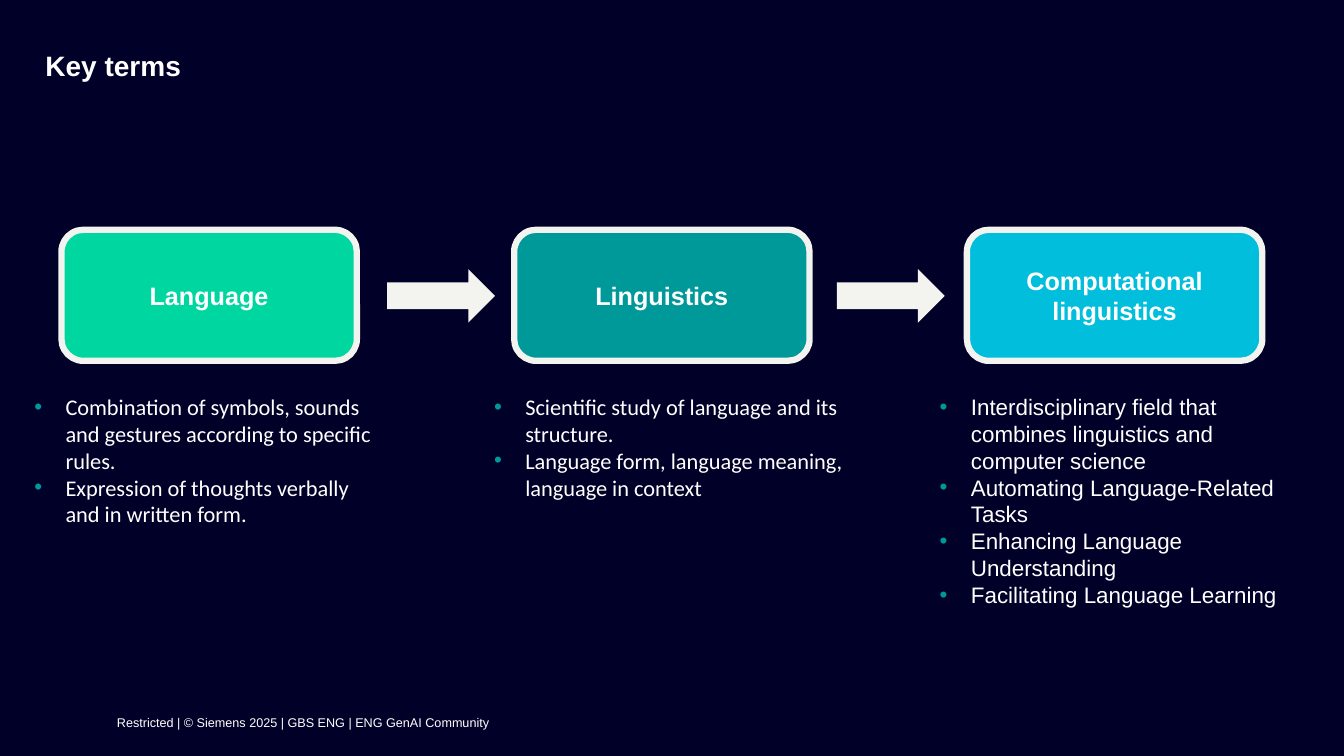
from lxml.etree import SubElement
from pptx import Presentation
from pptx.dml.color import RGBColor
from pptx.enum.shapes import MSO_SHAPE
from pptx.enum.text import MSO_ANCHOR, MSO_AUTO_SIZE, PP_ALIGN
from pptx.oxml.ns import qn
from pptx.util import Inches, Pt

TITLE = "Key terms"
FOOTER = "Restricted | © Siemens 2025 | GBS ENG | ENG GenAI Community"
# Heading lines, box fill, list left edge, list height, list font, list items
TERMS = [
    (["Language"], "00D7A0", 0.34, 1.35, "Calibri", [
        "Combination of symbols, sounds and gestures according to specific rules.",
        "Expression of thoughts verbally and in written form.",
    ]),
    (["Linguistics"], "009999", 4.9, 1.08, "Calibri", [
        "Scientific study of language and its structure.",
        "Language form, language meaning, language in context",
    ]),
    (["Computational", "linguistics"], "00BEDC", 9.32, 2.15, "Arial", [
        "Interdisciplinary field that combines linguistics and computer science",
        "Automating Language-Related Tasks",
        "Enhancing Language Understanding",
        "Facilitating Language Learning",
    ]),
]
BACKGROUND, WHITE, LIGHT, TEAL = "000028", "FFFFFF", "F3F3F0", "009999"
BOX_LEFT, BOX_STEP = 0.61, 4.49
ARROW_LEFT, ARROW_STEP = 3.84, 4.46
INDENT = Inches(0.31)


def color(value):
    return RGBColor.from_string(value)


def place(shape, left, top, width, height):
    shape.left, shape.top = Inches(left), Inches(top)
    shape.width, shape.height = Inches(width), Inches(height)


def write(shape, lines, size, font="Arial", bold=False, align=PP_ALIGN.LEFT,
          anchor=MSO_ANCHOR.TOP, margins=(0, 0, 0, 0), spacing=1.0, bullets=False):
    """Fill the shape with one paragraph per line; margins run left, top, right, bottom."""
    frame = shape.text_frame
    frame.word_wrap = True
    frame.auto_size = MSO_AUTO_SIZE.SHAPE_TO_FIT_TEXT if bullets else MSO_AUTO_SIZE.NONE
    frame.vertical_anchor = anchor
    (frame.margin_left, frame.margin_top,
     frame.margin_right, frame.margin_bottom) = map(Inches, margins)
    for index, line in enumerate(lines):
        paragraph = frame.add_paragraph() if index else frame.paragraphs[0]
        if bullets:
            add_bullet(paragraph)
        paragraph.alignment = align
        paragraph.line_spacing = spacing
        paragraph.space_before = Pt(0)
        run = paragraph.add_run()
        run.text = line
        run.font.name, run.font.size, run.font.bold = font, Pt(size), bold
        run.font.color.rgb = color(WHITE)


def add_bullet(paragraph):
    properties = paragraph._p.get_or_add_pPr()
    properties.set("marL", str(INDENT))
    properties.set("indent", str(-INDENT))
    bullet_color = SubElement(properties, qn("a:buClr"))
    SubElement(bullet_color, qn("a:srgbClr"), val=TEAL)
    SubElement(properties, qn("a:buFont"), typeface="Arial")
    SubElement(properties, qn("a:buChar"), char="•")


def add_block(slide, kind, bounds, fill):
    shape = slide.shapes.add_shape(kind, *map(Inches, bounds))
    shape.shadow.inherit = False
    shape.fill.solid()
    shape.fill.fore_color.rgb = color(fill)
    shape.line.fill.background()
    return shape


def main():
    presentation = Presentation()
    presentation.slide_width, presentation.slide_height = Inches(13.33), Inches(7.5)
    comparison_layout = presentation.slide_layouts[4]
    slide = presentation.slides.add_slide(comparison_layout)
    slide.background.fill.solid()
    slide.background.fill.fore_color.rgb = color(BACKGROUND)

    title, *bodies = slide.placeholders
    place(title, 0.45, 0.52, 10.79, 0.63)
    write(title, [TITLE], 20, bold=True, margins=(0, 0, 0.35, 0.02), spacing=0.9)

    footer = slide.shapes.add_textbox(*map(Inches, (1.16, 6.9, 10.08, 0.6)))
    write(footer, [FOOTER], 9, anchor=MSO_ANCHOR.MIDDLE, margins=(0, 0, 0, 0.07))

    for index, (heading, fill, left, height, font, items) in enumerate(TERMS):
        box = add_block(slide, MSO_SHAPE.ROUNDED_RECTANGLE,
                        (BOX_LEFT + index * BOX_STEP, 2.28, 2.93, 1.3), fill)
        box.line.color.rgb = color(LIGHT)
        box.line.width = Pt(4.5)
        write(box, heading, 18, bold=True, align=PP_ALIGN.CENTER,
              anchor=MSO_ANCHOR.MIDDLE, margins=(0.12, 0.08, 0.12, 0.08))
        place(bodies[index], left, 3.9, 3.47, height)
        write(bodies[index], items, 16, font=font, bullets=True)

    for index in range(len(TERMS) - 1):
        add_block(slide, MSO_SHAPE.RIGHT_ARROW,
                  (ARROW_LEFT + index * ARROW_STEP, 2.67, 1.07, 0.53), LIGHT)

    for unused in bodies[len(TERMS):]:
        unused.element.getparent().remove(unused.element)
    presentation.save("out.pptx")


if __name__ == "__main__":
    main()
